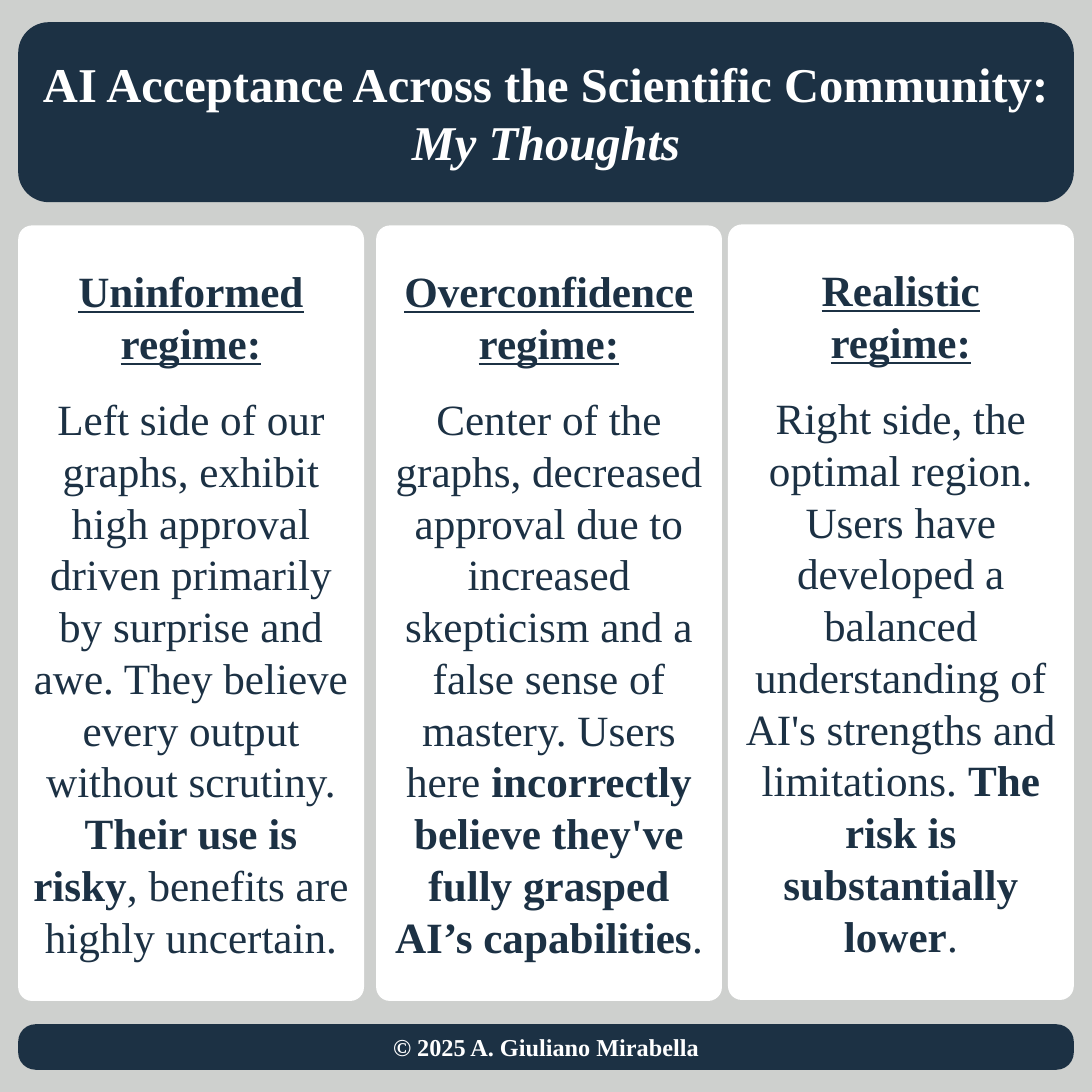
from pptx import Presentation
from pptx.dml.color import RGBColor
from pptx.enum.shapes import MSO_SHAPE
from pptx.enum.text import MSO_ANCHOR, MSO_AUTO_SIZE, PP_ALIGN
from pptx.util import Pt

# Content: each run is (text, font style)
HEADING = {"bold": True, "underline": True}
BOLD = {"bold": True}
PLAIN = {"bold": False}

TITLE = [
    [("AI Acceptance Across the Scientific Community:", BOLD)],
    [("My Thoughts", {"bold": True, "italic": True})],
]
FOOTER = [[("© 2025 A. Giuliano Mirabella", BOLD)]]
REGIMES = [
    (["Uninformed regime:"], [
        ("Left side of our graphs, exhibit high approval driven primarily by surprise "
         "and awe. They believe every output without scrutiny. ", PLAIN),
        ("Their use is risky", BOLD),
        (", benefits are highly uncertain.", PLAIN)]),
    (["Overconfidence regime:"], [
        ("Center of the graphs, decreased approval due to increased skepticism and a "
         "false sense of mastery. Users here ", PLAIN),
        ("incorrectly believe they've fully grasped AI’s capabilities", BOLD),
        (".", PLAIN)]),
    (["Realistic", "regime:"], [
        ("Right side, the optimal region. Users have developed a balanced understanding "
         "of AI's strengths and limitations. ", PLAIN),
        ("The risk is substantially lower", BOLD),
        (".", PLAIN)]),
]

# Look and layout, in px
COLORS = {"background": "CED0CE", "navy": "1C3144", "white": "FFFFFF"}
FONT = "Times New Roman"
EMU_PER_PX = 9525
SLIDE_SIZE = 1080
MARGIN = 18
BANNER_BOX = (MARGIN, 22, SLIDE_SIZE - 2 * MARGIN, 178)
FOOTER_BOX = (MARGIN, 1013, SLIDE_SIZE - 2 * MARGIN, 45)
PANEL_POSITIONS = [(MARGIN, 223), (372, 223), (720, 222)]
PANEL_SIZE = (342, 767)


def color(name):
    return RGBColor.from_string(COLORS[name])


def place(shape, box):
    for name, value in zip(("left", "top", "width", "height"), box):
        setattr(shape, name, value * EMU_PER_PX)


def add_card(slide, box, fill, corner):
    card = slide.shapes.add_shape(MSO_SHAPE.ROUNDED_RECTANGLE, 0, 0, 0, 0)
    place(card, box)
    card.adjustments[0] = corner
    card.shadow.inherit = False
    card.fill.solid()
    card.fill.fore_color.rgb = color(fill)
    card.line.fill.background()
    return card


def write(shape, paragraphs, size, text_color, body_gap=0):
    frame = shape.text_frame
    frame.word_wrap = True
    frame.auto_size = MSO_AUTO_SIZE.NONE
    frame.vertical_anchor = MSO_ANCHOR.MIDDLE
    for index, runs in enumerate(paragraphs):
        paragraph = frame.add_paragraph() if index else frame.paragraphs[0]
        is_last = index == len(paragraphs) - 1
        layout = {"alignment": PP_ALIGN.CENTER, "line_spacing": 1.0,
                  "space_before": Pt(body_gap if is_last else 0)}
        for name, value in layout.items():
            setattr(paragraph, name, value)
        for text, style in runs:
            run = paragraph.add_run()
            run.text = text
            run.font.color.rgb = color(text_color)
            for name, value in {"name": FONT, "size": Pt(size), **style}.items():
                setattr(run.font, name, value)


def main():
    presentation = Presentation()
    presentation.slide_width = presentation.slide_height = SLIDE_SIZE * EMU_PER_PX
    slide = presentation.slides.add_slide(presentation.slide_layouts[5])
    slide.background.fill.solid()
    slide.background.fill.fore_color.rgb = color("background")

    # Regime panels
    for (headings, body), position in zip(REGIMES, PANEL_POSITIONS):
        panel = add_card(slide, position + PANEL_SIZE, "white", 0.04)
        paragraphs = [[(heading, HEADING)] for heading in headings] + [body]
        write(panel, paragraphs, 32, "navy", body_gap=18)

    # Banner, with the title brought in front of it
    banner = add_card(slide, BANNER_BOX, "navy", 0.17)
    title = slide.shapes.title
    place(title, BANNER_BOX)
    write(title, TITLE, 36, "white")
    banner.element.addnext(title.element)

    # Footer
    footer = add_card(slide, FOOTER_BOX, "navy", 0.38)
    write(footer, FOOTER, 18, "white")

    presentation.save("out.pptx")


if __name__ == "__main__":
    main()
